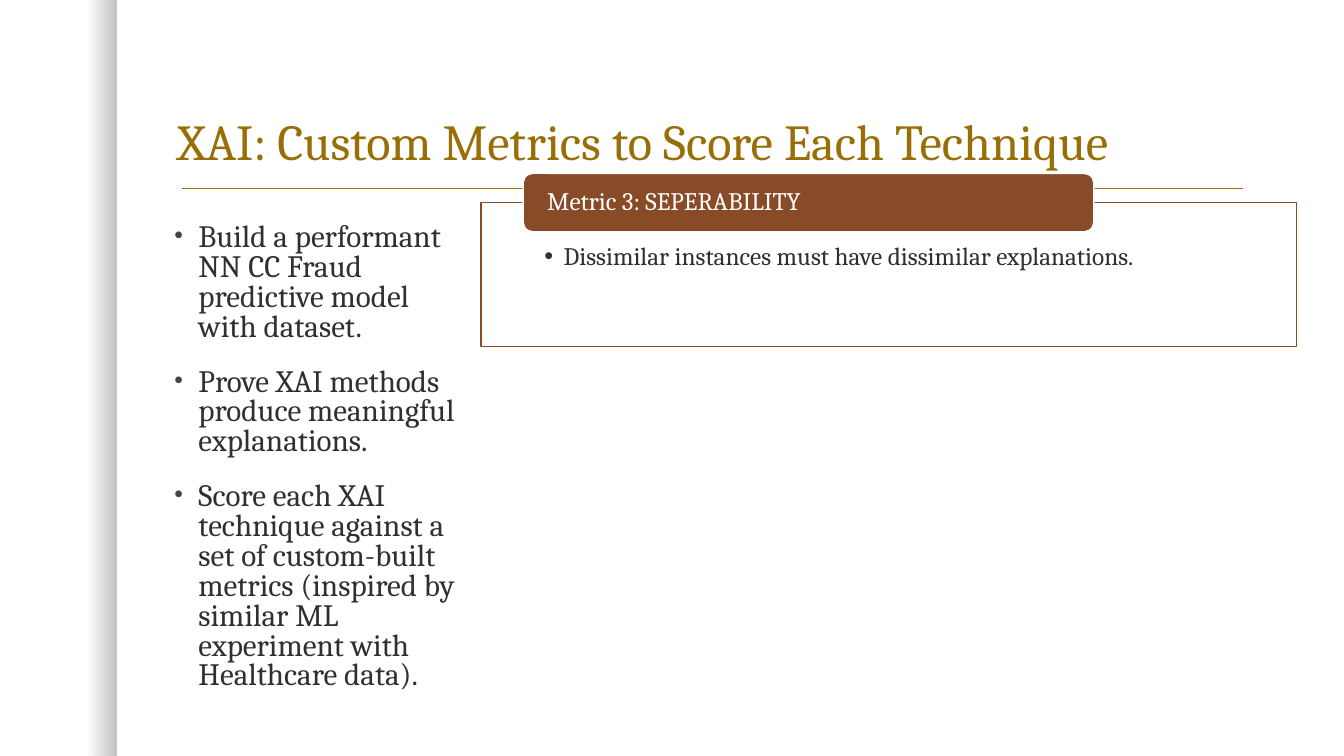
from lxml import etree
from pptx import Presentation
from pptx import util as u
from pptx.dml.color import RGBColor
from pptx.enum import shapes, text
from pptx.oxml.ns import qn

WIDTH, HEIGHT = u.Inches(13.33), u.Inches(7.5)
FONT = "Cambria"
GOLD, BROWN, INK, GREY, WHITE, BLACK = (
    "986F07", "894A27", "303030", "454545", "FFFFFF", "000000")

GOALS = [
    "Build a performant NN CC Fraud predictive model with dataset.",
    "Prove XAI methods produce meaningful explanations.",
    "Score each XAI technique against a set of custom-built metrics "
    "(inspired by similar ML experiment with Healthcare data).",
]


def rgb(value):
    return RGBColor.from_string(value)


def across(percent):
    return round(WIDTH * percent / 100)


def down(percent):
    return round(HEIGHT * percent / 100)


def area(left, top, width, height):
    """Turn percentages of the slide into a position and size."""
    return across(left), down(top), across(width), down(height)


def set_opacity(color, percent):
    etree.SubElement(color, qn("a:alpha"), val=str(percent * 1000))


def add_bullet(paragraph, indent, color, size):
    props = paragraph._p.get_or_add_pPr()
    props.set("marL", str(u.Inches(indent)))
    props.set("indent", str(-u.Inches(indent)))
    tint = etree.SubElement(props, qn("a:buClr"))
    etree.SubElement(tint, qn("a:srgbClr"), val=color)
    etree.SubElement(props, qn("a:buSzPct"), val=str(size * 1000))
    etree.SubElement(props, qn("a:buFont"), typeface="Arial")
    etree.SubElement(props, qn("a:buChar"), char="•")


def write(frame, lines, size, color, spacing=0.9, gap=0, bullet=None,
          anchor=text.MSO_ANCHOR.TOP, insets=(0.1, 0.05, 0.1, 0.05)):
    """Fill a text frame; bullet is (indent, colour, size in percent)."""
    frame.word_wrap = True
    frame.vertical_anchor = anchor
    (frame.margin_left, frame.margin_top,
     frame.margin_right, frame.margin_bottom) = map(u.Inches, insets)
    for number, line in enumerate(lines):
        paragraph = frame.add_paragraph() if number else frame.paragraphs[0]
        paragraph.text = line
        if bullet:
            add_bullet(paragraph, *bullet)
        paragraph.alignment = text.PP_ALIGN.LEFT
        paragraph.line_spacing = spacing
        if number:
            paragraph.space_before = u.Pt(gap)
        paragraph.font.name = FONT
        paragraph.font.size = u.Pt(size)
        paragraph.font.color.rgb = rgb(color)


def add_panel(slide, kind, place, fill, line):
    panel = slide.shapes.add_shape(kind, *area(*place))
    panel.shadow.inherit = False
    panel.fill.solid()
    panel.fill.fore_color.rgb = rgb(fill)
    panel.line.color.rgb = rgb(line)
    panel.line.width = u.Pt(1)
    return panel


def add_edge_shade(slide):
    shade = slide.shapes.add_shape(shapes.MSO_SHAPE.RECTANGLE,
                                   *area(0, 0, 8.7, 100))
    shade.shadow.inherit = False
    shade.line.fill.background()
    shade.fill.gradient()
    shade.fill.gradient_angle = 0
    for stop, position in zip(shade.fill.gradient_stops, (0.75, 1)):
        stop.position = position
        stop.color.rgb = rgb(BLACK)
    for color, opacity in zip(shade._element.iter(qn("a:srgbClr")), (0, 25)):
        set_opacity(color, opacity)


def add_title_rule(slide):
    rule = slide.shapes.add_connector(
        shapes.MSO_CONNECTOR.STRAIGHT,
        across(13.58), down(24.93), across(92.5), down(24.93))
    rule.line.color.rgb = rgb(GOLD)
    rule.line.width = u.Pt(1)
    etree.SubElement(rule._element.spPr, qn("a:effectLst"))


def add_metric(slide, heading, details):
    body = add_panel(slide, shapes.MSO_SHAPE.RECTANGLE,
                     (35.78, 26.8, 60.69, 19.07), WHITE, BROWN)
    set_opacity(next(body._element.spPr.iter(qn("a:srgbClr"))), 90)
    write(body.text_frame, details, 18, INK, bullet=(0.19, INK, 100),
          insets=(0.63, 0.41, 0.63, 0.14))
    tab = add_panel(slide, shapes.MSO_SHAPE.ROUNDED_RECTANGLE,
                    (38.93, 22.93, 42.46, 7.73), BROWN, WHITE)
    write(tab.text_frame, [heading], 18, WHITE,
          anchor=text.MSO_ANCHOR.MIDDLE, insets=(0.21, 0, 0.21, 0))


def main():
    deck = Presentation()
    deck.slide_width, deck.slide_height = WIDTH, HEIGHT
    slide = deck.slides.add_slide(deck.slide_layouts[6])
    add_edge_shade(slide)
    add_title_rule(slide)
    title = slide.shapes.add_textbox(*area(12.45, 5.6, 80.65, 17.73))
    write(title.text_frame, ["XAI: Custom Metrics to Score Each Technique"],
          36, GOLD, anchor=text.MSO_ANCHOR.BOTTOM)
    goals = slide.shapes.add_textbox(*area(12.23, 28.93, 22.43, 68.27))
    write(goals.text_frame, GOALS, 22.2, INK, spacing=0.8, gap=18,
          bullet=(0.24, GREY, 80))
    add_metric(slide, "Metric 3: SEPERABILITY",
               ["Dissimilar instances must have dissimilar explanations."])
    deck.save("out.pptx")


if __name__ == "__main__":
    main()
